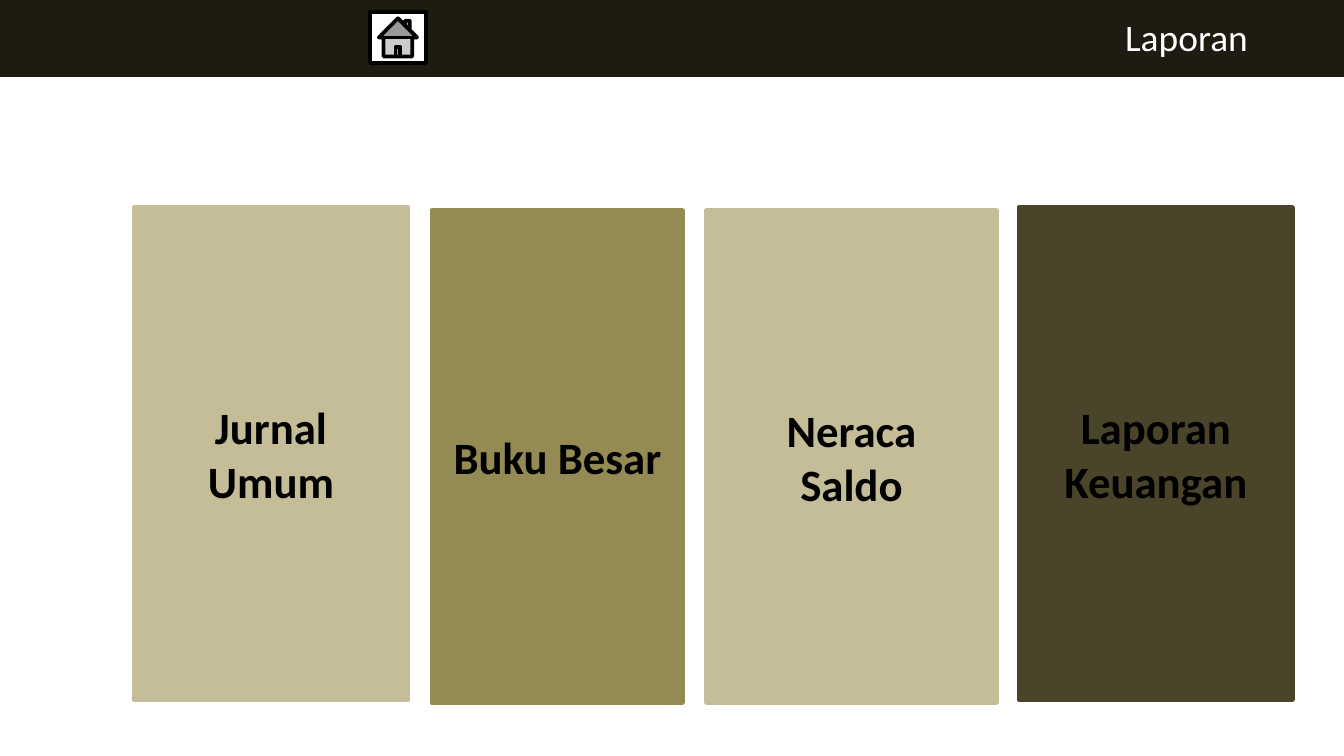
from dataclasses import dataclass

import pptx
import pptx.dml.color
import pptx.enum.shapes
import pptx.enum.text
import pptx.util

RGBColor = pptx.dml.color.RGBColor
MSO_SHAPE = pptx.enum.shapes.MSO_SHAPE
PP_ALIGN = pptx.enum.text.PP_ALIGN

PX = 914400 / 134.4

BAR = RGBColor(0x1E, 0x1C, 0x11)
DARK = RGBColor(0x4A, 0x45, 0x2A)
OLIVE = RGBColor(0x94, 0x8A, 0x54)
SAND = RGBColor(0xC4, 0xBD, 0x97)
BLACK = RGBColor(0, 0, 0)
WHITE = RGBColor(0xFF, 0xFF, 0xFF)

CARD_HEIGHT = 493
CARD_FONT = {"name": "Calibri", "size": pptx.util.Pt(24), "bold": True}
TITLE_FONT = {"name": "Calibri", "size": pptx.util.Pt(20), "bold": False}


@dataclass
class Card:
    left: int
    top: int
    width: int
    color: RGBColor
    lines: tuple[str, ...]


CARDS = [
    Card(1019, 207, 274, DARK, ("Laporan Keuangan",)),
    Card(432, 210, 251, OLIVE, ("Buku Besar",)),
    Card(706, 210, 291, SAND, ("Neraca", "Saldo")),
    Card(134, 207, 274, SAND, ("Jurnal Umum",)),
]


def emu(*lengths: int) -> list[int]:
    return [round(v * PX) for v in lengths]


def add_block(s, kind, box: tuple[int, ...], fill: RGBColor, line: RGBColor):
    sp = s.shapes.add_shape(kind, *emu(*box))
    sp.shadow.inherit = False
    sp.fill.solid()
    sp.fill.fore_color.rgb = fill
    sp.line.color.rgb = line
    sp.line.width = pptx.util.Pt(2)
    return sp


def write(tf, lines: tuple[str, ...], font: dict, color: RGBColor) -> None:
    tf.word_wrap = True
    for i, text in enumerate(lines):
        p = tf.add_paragraph() if i else tf.paragraphs[0]
        p.alignment = PP_ALIGN.CENTER
        r = p.add_run()
        r.text = text
        for name, value in font.items():
            setattr(r.font, name, value)
        r.font.color.rgb = color


def add_card(s, card: Card) -> None:
    box = (card.left, card.top, card.width, CARD_HEIGHT)
    sp = add_block(s, MSO_SHAPE.RECTANGLE, box, card.color, card.color)
    sp.text_frame.vertical_anchor = pptx.enum.text.MSO_ANCHOR.MIDDLE
    write(sp.text_frame, card.lines, CARD_FONT, BLACK)


prs = pptx.Presentation()
prs.slide_width, prs.slide_height = emu(1344, 756)
s = prs.slides.add_slide(prs.slide_layouts[6])

# Header bar with home button and title
add_block(s, MSO_SHAPE.RECTANGLE, (0, 0, 1344, 75), BAR, BAR)
add_block(s, MSO_SHAPE.ACTION_BUTTON_HOME, (370, 12, 56, 51), WHITE, BLACK)
title = s.shapes.add_textbox(*emu(1052, 8, 269, 59))
title.text_frame.auto_size = pptx.enum.text.MSO_AUTO_SIZE.SHAPE_TO_FIT_TEXT
write(title.text_frame, ("Laporan",), TITLE_FONT, WHITE)

# Report cards
for card in CARDS:
    add_card(s, card)

prs.save("out.pptx")
